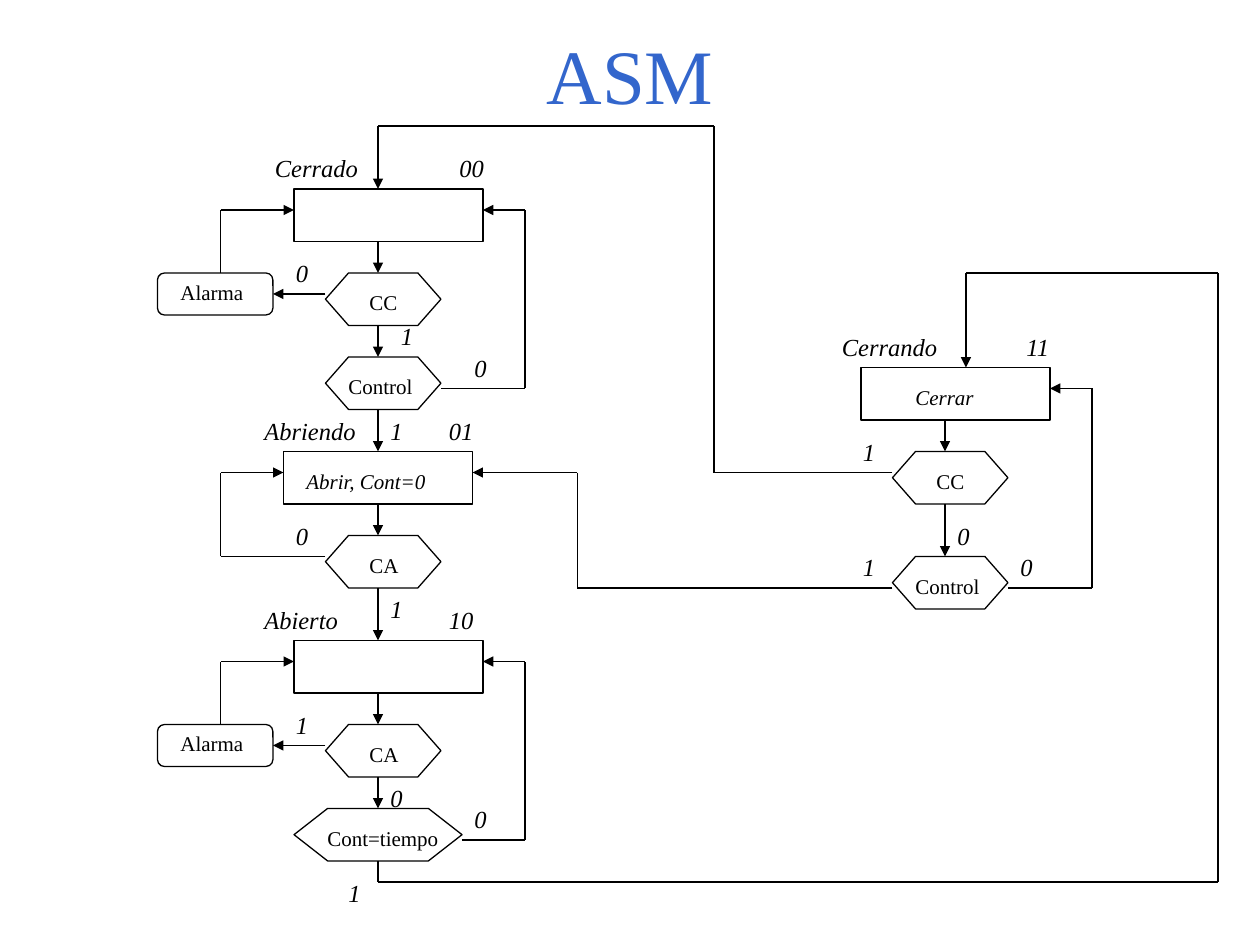
import pptx
import pptx.util
import pptx.dml.color
import pptx.enum.shapes
import pptx.enum.text
import pptx.oxml
import pptx.oxml.ns

BLACK = pptx.dml.color.RGBColor(0x00, 0x00, 0x00)
BLUE = pptx.dml.color.RGBColor(0x33, 0x66, 0xCC)
FONT = "Times New Roman"
KIND = pptx.enum.shapes.MSO_SHAPE
LINK = pptx.enum.shapes.MSO_CONNECTOR.STRAIGHT
NS = pptx.oxml.ns.nsdecls("a")
CODE = pptx.util.Cm(3.72)  # tab stop of the state code


def grid(count):
    """Length of grid steps, twelve to the inch."""
    return pptx.util.Cm(count * 2.54 / 12)


def write(slide, text, x, y, wide, size=12, slant=False, tall=3.6):
    box = slide.shapes.add_textbox(grid(x), grid(y), grid(wide), grid(tall))
    box.text_frame.word_wrap = True
    para = box.text_frame.paragraphs[0]
    para.text = text
    para.font.name = FONT
    para.font.size = pptx.util.Pt(size)
    para.font.italic = slant
    para.font.color.rgb = BLACK
    return box


def value(slide, text, x, y):
    write(slide, text, x, y, 4, 14, True, 4.1)


def shape(slide, kind, x, y, wide, tall):
    item = slide.shapes.add_shape(kind, grid(x), grid(y), grid(wide), grid(tall))
    item.shadow.inherit = False
    item.fill.background()
    item.line.color.rgb = BLACK
    item.line.width = pptx.util.Pt(0.75)


def wire(slide, *points):
    """Straight parts through the points, with an arrowhead on the last."""
    for start, end in zip(points, points[1:]):
        part = slide.shapes.add_connector(LINK, *map(grid, start + end))
        part.line.color.rgb = BLACK
        part.line.width = pptx.util.Pt(0.75)
        props = part.element.spPr
        props.append(pptx.oxml.parse_xml(f"<a:effectLst {NS}/>"))
    props.find(pptx.oxml.ns.qn("a:ln")).append(
        pptx.oxml.parse_xml(f'<a:tailEnd {NS} type="triangle"/>'))


def test(slide, text, x, y, inset, room, wide=11):
    shape(slide, KIND.FLOWCHART_PREPARATION, x, y, wide, 5)
    write(slide, text, x + inset, y + 1, room)


def state(slide, name, code, x, y, shift=3):
    """State box at x, y with its name and code above."""
    shape(slide, KIND.RECTANGLE, x, y, 18, 5)
    label = write(slide, f"{name}\t{code}", x - shift, y - 4, 25, 14, True, 4.1)
    props = label.text_frame.paragraphs[0].font._element.getparent()
    props.insert(0, pptx.oxml.parse_xml(
        f'<a:tabLst {NS}><a:tab pos="{CODE}" algn="l"/></a:tabLst>'))


def alarm(slide, x, y, name, code, shift, sensor, alert):
    """State with a sensor test, an alarm on its left and a loop on its right."""
    axis = x + 8
    state(slide, name, code, x, y, shift)
    wire(slide, (axis, y + 5), (axis, y + 8))
    test(slide, sensor, x + 3, y + 8, 3, 7)
    wire(slide, (axis, y + 13), (axis, y + 16))

    # Alarm branch
    shape(slide, KIND.FLOWCHART_ALTERNATE_PROCESS, x - 13, y + 8, 11, 4)
    write(slide, "Alarma", x - 12, y + 8, 10)
    wire(slide, (x + 3, y + 10), (x - 2, y + 10))
    wire(slide, (x - 7, y + 8), (x - 7, y + 2), (x, y + 2))
    value(slide, alert, x - 1, y + 6)


def loop(slide, x, y, start):
    """Way back from the last test to the right side of the state."""
    wire(slide, (start, y), (x + 22, y), (x + 22, y - 17), (x + 18, y - 17))


def closed(slide, x, y):
    alarm(slide, x, y, "Cerrado", "00", 3, "CC", "0")
    test(slide, "Control", x + 3, y + 16, 1, 10)
    loop(slide, x, y + 19, x + 14)
    value(slide, "1", x + 9, y + 12)
    value(slide, "0", x + 16, y + 15)


def opened(slide, x, y):
    alarm(slide, x, y, "Abierto", "10", 4, "CA", "1")
    test(slide, "Cont=tiempo", x, y + 16, 2, 15, 16)
    loop(slide, x, y + 19, x + 16)
    value(slide, "0", x + 8, y + 13)
    value(slide, "0", x + 16, y + 15)


def rising(slide, x, y):
    state(slide, "Abriendo", "01", x, y)
    write(slide, "Abrir, Cont=0", x + 1, y + 1, 16, slant=True)
    wire(slide, (x + 9, y + 5), (x + 9, y + 8))
    test(slide, "CA", x + 4, y + 8, 3, 7)
    wire(slide, (x + 4, y + 10), (x - 6, y + 10), (x - 6, y + 2), (x, y + 2))
    value(slide, "0", x, y + 6)


def closing(slide, x, y):
    axis = x + 8
    state(slide, "Cerrando", "11", x, y)
    write(slide, "Cerrar", x + 4, y + 1, 10, slant=True)
    wire(slide, (axis, y + 5), (axis, y + 8))
    test(slide, "CC", x + 3, y + 8, 3, 7)
    wire(slide, (axis, y + 13), (axis, y + 18))
    test(slide, "Control", x + 3, y + 18, 1, 10)
    wire(slide, (x + 14, y + 21), (x + 22, y + 21), (x + 22, y + 2), (x + 18, y + 2))
    for text, right, down in (("1", -1, 6), ("1", -1, 17), ("0", 8, 14), ("0", 14, 17)):
        value(slide, text, x + right, y + down)


def links(slide):
    """Wires from one state to the next."""
    wire(slide, (36, 39), (36, 43))
    wire(slide, (36, 56), (36, 61))
    wire(slide, (85, 45), (68, 45), (68, 12), (36, 12), (36, 18))
    wire(slide, (85, 56), (55, 56), (55, 45), (45, 45))
    wire(slide, (36, 82), (36, 84), (116, 84), (116, 26), (92, 26), (92, 35))
    for x, y in ((36, 39), (36, 56), (32, 83)):
        value(slide, "1", x, y)


def title(slide, x, y, wide, tall):
    box = write(slide, "ASM", x, y, wide, 44, tall=tall)
    box.text_frame.vertical_anchor = pptx.enum.text.MSO_ANCHOR.MIDDLE
    para = box.text_frame.paragraphs[0]
    para.alignment = pptx.enum.text.PP_ALIGN.CENTER
    para.font.color.rgb = BLUE


def main():
    deck = pptx.Presentation()
    deck.slide_width = pptx.util.Cm(25.4)
    deck.slide_height = pptx.util.Cm(19.05)
    slide = deck.slides.add_slide(deck.slide_layouts[6])
    title(slide, 9, 4, 102, 6)
    closed(slide, 28, 18)
    rising(slide, 27, 43)
    opened(slide, 28, 61)
    closing(slide, 82, 35)
    links(slide)
    deck.save("out.pptx")


if __name__ == "__main__":
    main()
